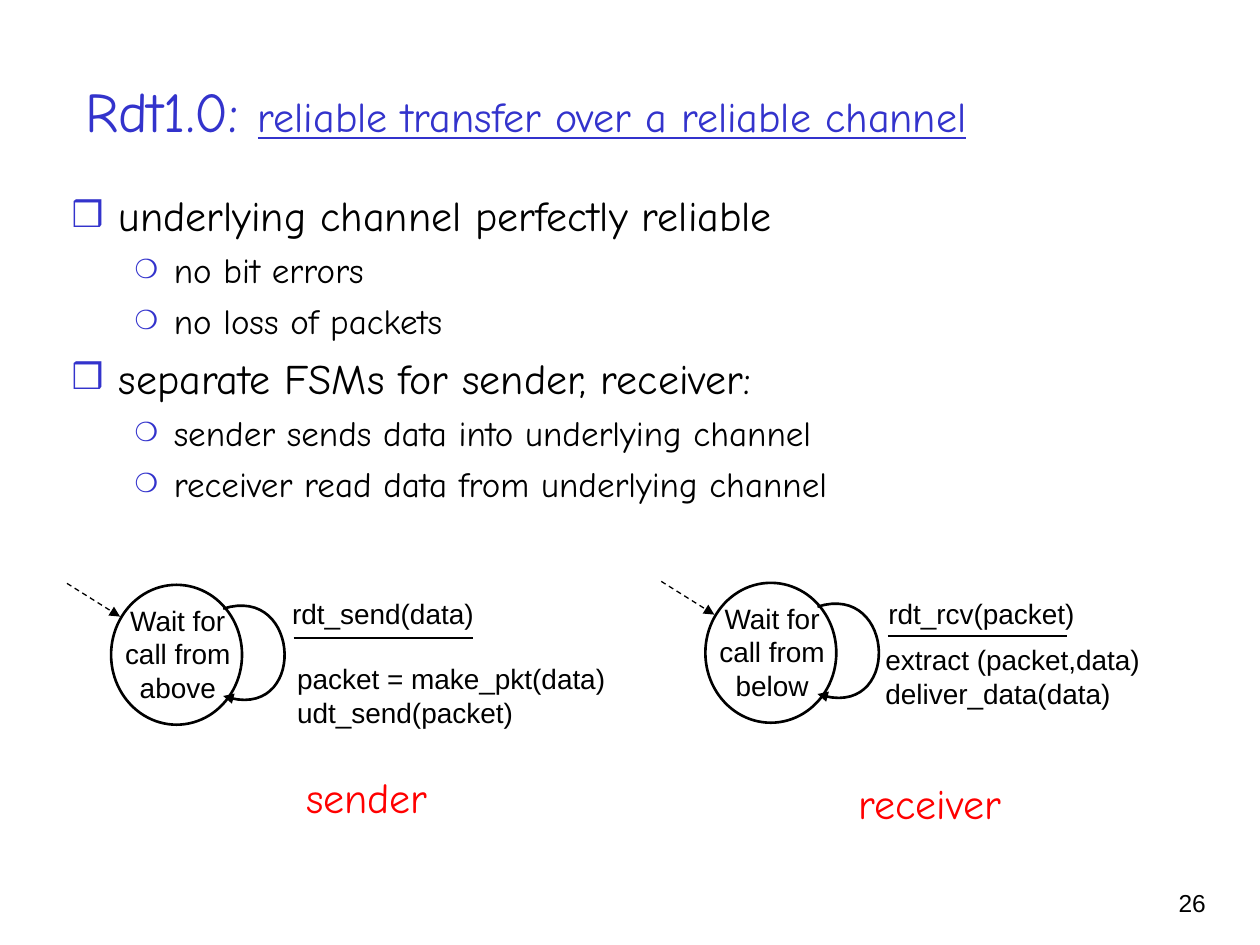
"""Build the Rdt1.0 slide with its sender and receiver state machines."""
from dataclasses import dataclass
from typing import Any

import lxml.etree
import pptx
import pptx.dml.color
import pptx.enum.dml
import pptx.enum.shapes
import pptx.enum.text
import pptx.oxml.ns
import pptx.util

Cm = pptx.util.Cm
Pt = pptx.util.Pt
ALIGN = pptx.enum.text.PP_ALIGN
ANCHOR = pptx.enum.text.MSO_ANCHOR
FIT = pptx.enum.text.MSO_AUTO_SIZE
COLORS = {"blue": "3333CC", "red": "FF0000", "black": "000000", "white": "FFFFFF"}
FONTS = {
    "head": {"name": "Comic Neue", "size": Pt(32)},
    "sub": {"name": "Comic Neue", "size": Pt(24), "underline": True},
    "main": {"name": "Comic Neue", "size": Pt(24)},
    "point": {"name": "Comic Neue", "size": Pt(20)},
    "code": {"name": "Arial", "size": Pt(16)},
    "page": {"name": "Arial", "size": Pt(14)},
}


@dataclass
class Label:
    lines: list[str]
    box: tuple[float, float, float, float]
    font: str = "code"
    color: str = "black"
    align: Any = ALIGN.LEFT
    wrap: bool = True


@dataclass
class State:
    left: float
    top: float
    wait: str
    labels: list[Label]


@dataclass
class Bullet:
    char: str
    ratio: int
    left: float
    hang: float
    space: int
    font: str


BULLETS = [
    Bullet("❒", 85, 0.95, 0.95, 6, "main"),
    Bullet("❍", 75, 2.06, 0.79, 5, "point"),
]
POINTS = [
    (0, "underlying channel perfectly reliable"),
    (1, "no bit errors"),
    (1, "no loss of packets"),
    (0, "separate FSMs for sender, receiver:"),
    (1, "sender sends data into underlying channel"),
    (1, "receiver read data from underlying channel"),
]
STATES = [
    State(2.24, 11.79, "Wait for call from above", [
        Label(["packet = make_pkt(data)", "udt_send(packet)"], (5.74, 13.21, 7.44, 1.65)),
        Label(["rdt_send(data)"], (5.64, 11.91, 6.27, 1.19)),
        Label(["sender"], (5.87, 15.42, 3.05, 1.27), "main", "red", ALIGN.CENTER, False),
    ]),
    State(14.22, 11.75, "Wait for call from below", [
        Label(["extract (packet,data)", "deliver_data(data)"], (17.6, 12.83, 6.91, 1.19)),
        Label(["rdt_rcv(packet)"], (17.65, 11.91, 4.27, 0.94), align=ALIGN.CENTER, wrap=False),
        Label(["receiver"], (17.04, 15.54, 3.4, 1.27), "main", "red", ALIGN.CENTER, False),
    ]),
]
LOOP = [(2.26, 0.48), (3.86, -0.03), (3.96, 2.82), (2.26, 2.24)]
STEPS = 32


def apply(target: Any, values: dict) -> None:
    """Set each named attribute on the target."""
    for name, value in values.items():
        setattr(target, name, value)


def shade(name: str) -> Any:
    """Return a named colour."""
    return pptx.dml.color.RGBColor.from_string(COLORS[name])


def add_tag(parent: Any, tag: str, **values: str) -> None:
    """Append a drawing element with its attributes."""
    lxml.etree.SubElement(parent, pptx.oxml.ns.qn(tag), values)


def write(para: Any, text: str, font: str, color: str) -> None:
    """Add a styled run to a paragraph."""
    run = para.add_run()
    run.text = text
    apply(run.font, FONTS[font])
    run.font.color.rgb = shade(color)


def place(shape: Any, box: tuple[float, float, float, float]) -> None:
    """Move and size a shape."""
    apply(shape, dict(zip(("left", "top", "width", "height"), map(Cm, box))))


def add_label(slide: Any, label: Label) -> None:
    """Draw a text box."""
    frame = slide.shapes.add_textbox(*map(Cm, label.box)).text_frame
    apply(frame, {"word_wrap": label.wrap,
                  "auto_size": FIT.NONE if label.wrap else FIT.SHAPE_TO_FIT_TEXT})
    for row, text in enumerate(label.lines):
        para = frame.add_paragraph() if row else frame.paragraphs[0]
        para.alignment = label.align
        write(para, text, label.font, label.color)


def style_line(shape: Any, width: float, arrow: bool = False) -> None:
    """Give an outline its width, colour and optional arrowhead."""
    shape.line.color.rgb = shade("black")
    shape.line.width = Pt(width)
    if arrow:
        add_tag(shape._element.spPr.find(pptx.oxml.ns.qn("a:ln")),
                "a:tailEnd", type="triangle")


def add_line(slide: Any, ends: tuple[float, float, float, float],
             width: float, arrow: bool = False) -> None:
    """Draw a straight rule or a dashed arrow."""
    rule = slide.shapes.add_connector(
        pptx.enum.shapes.MSO_CONNECTOR.STRAIGHT, *map(Cm, ends))
    if arrow:
        rule.line.dash_style = pptx.enum.dml.MSO_LINE.DASH
    style_line(rule, width, arrow)
    add_tag(rule._element.spPr, "a:effectLst")


def add_loop(slide: Any, left: float, top: float) -> None:
    """Draw the curved arrow from a state back to itself."""
    dots = []
    for step in range(STEPS + 1):
        t = step / STEPS
        parts = ((1 - t) ** 3, 3 * t * (1 - t) ** 2, 3 * t * t * (1 - t), t ** 3)
        x, y = (sum(p * c for p, c in zip(parts, axis)) for axis in zip(*LOOP))
        dots.append((Cm(left + x), Cm(top + y)))
    pen = slide.shapes.build_freeform(*dots[0])
    pen.add_line_segments(dots[1:], close=False)
    curve = pen.convert_to_shape()
    curve.shadow.inherit = False
    curve.fill.background()
    style_line(curve, 1.5, True)


def add_state(slide: Any, state: State) -> None:
    """Draw a state with its arrows and labels."""
    x, y = state.left, state.top
    disc = slide.shapes.add_shape(
        pptx.enum.shapes.MSO_SHAPE.OVAL, *map(Cm, (x, y, 2.64, 2.82)))
    disc.shadow.inherit = False
    disc.fill.solid()
    disc.fill.fore_color.rgb = shade("white")
    style_line(disc, 1.5)
    add_label(slide, Label([state.wait], (x - 0.18, y + 0.25, 3.05, 2.54), align=ALIGN.CENTER))
    add_loop(slide, x, y)
    add_line(slide, (x + 3.68, y + 1.07, x + 7.29, y + 1.07), 1.5)
    add_line(slide, (x - 0.89, y - 0.03, x + 0.18, y + 0.64), 0.75, True)
    for label in state.labels:
        add_label(slide, label)


def add_point(para: Any, level: int, text: str, first: bool) -> None:
    """Fill one list item with its bullet."""
    style = BULLETS[level]
    apply(para, {"level": level, "alignment": ALIGN.LEFT,
                 "space_before": Pt(0 if first else style.space)})
    props = para._p.get_or_add_pPr()
    props.set("marL", str(Cm(style.left)))
    props.set("indent", str(-Cm(style.hang)))
    add_tag(props, "a:buClr")
    add_tag(props[-1], "a:srgbClr", val=COLORS["blue"])
    add_tag(props, "a:buSzPct", val=str(style.ratio * 1000))
    add_tag(props, "a:buChar", char=style.char)
    write(para, text, style.font, "black")


def main() -> None:
    """Build and save the deck."""
    deck = pptx.Presentation()
    apply(deck, {"slide_width": Cm(25.4), "slide_height": Cm(19.05)})
    slide = deck.slides.add_slide(deck.slide_layouts[1])
    title, body = slide.placeholders
    place(title, (1.47, 0.64, 22.23, 3.18))
    place(body, (1.19, 3.7, 21.95, 8.38))
    for shape, anchor in ((title, ANCHOR.MIDDLE), (body, ANCHOR.TOP)):
        apply(shape.text_frame, {"vertical_anchor": anchor, "word_wrap": True,
                                 "auto_size": FIT.NONE})
    head = title.text_frame.paragraphs[0]
    head.alignment = ALIGN.LEFT
    write(head, "Rdt1.0: ", "head", "blue")
    write(head, "reliable transfer over a reliable channel", "sub", "blue")
    frame = body.text_frame
    for row, (level, text) in enumerate(POINTS):
        para = frame.add_paragraph() if row else frame.paragraphs[0]
        add_point(para, level, text, row == 0)
    for state in STATES:
        add_state(slide, state)
    add_label(slide, Label(["26"], (22.68, 17.78, 1.88, 1.27), "page", align=ALIGN.RIGHT))
    deck.save("out.pptx")


if __name__ == "__main__":
    main()
